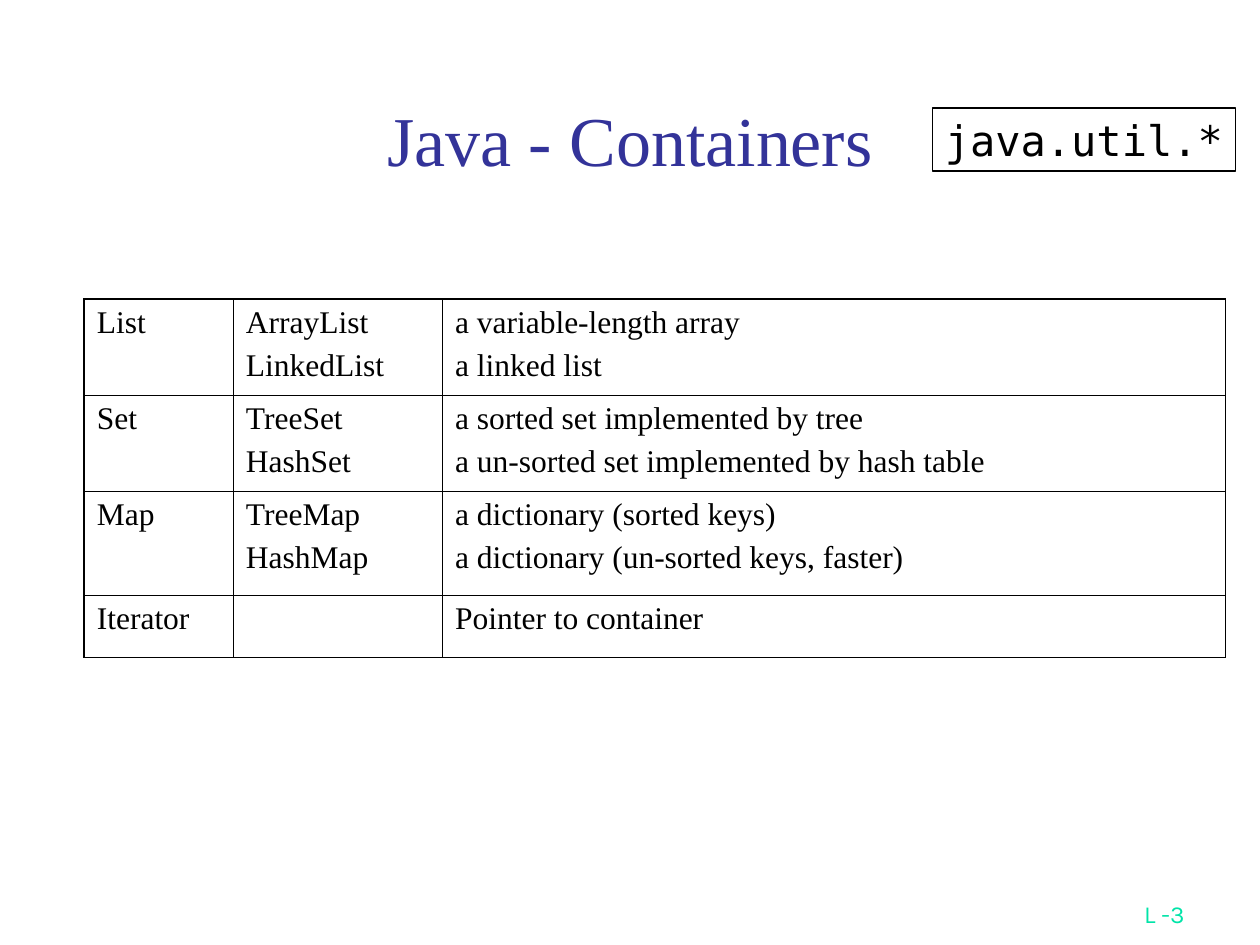
"""Build a slide that tabulates the Java container classes."""
from lxml import etree
from pptx import Presentation
from pptx.dml.color import RGBColor
from pptx.enum import shapes, text
from pptx.oxml import ns
from pptx.util import Pt

SERIF = "Times New Roman"
BLACK = "000000"
ROWS = [
    (["List"], ["ArrayList", "LinkedList"],
     ["a variable-length array", "a linked list"]),
    (["Set"], ["TreeSet", "HashSet"],
     ["a sorted set implemented by tree",
      "a un-sorted set implemented by hash table"]),
    (["Map"], ["TreeMap", "HashMap"],
     ["a dictionary (sorted keys)", "a dictionary (un-sorted keys, faster)"]),
    (["Iterator"], [], ["Pointer to container"]),
]
COL_WIDTHS = [85.2, 119.5, 447.4]
ROW_HEIGHTS = [54.8, 54.8, 59.6, 35.4]
TABLE_LEFT, TABLE_TOP = 48.2, 170.8
OUTER, INNER = 1.08, 0.45


def rgb(value):
    """Return the colour for a hex string."""
    return RGBColor.from_string(value)


def write(tf, lines, size, font, color, align=text.PP_ALIGN.LEFT, gap=0):
    """Fill a text frame with one paragraph per line."""
    for i, line in enumerate(lines):
        p = tf.add_paragraph() if i else tf.paragraphs[0]
        p.text, p.alignment = line, align
        p.font.size, p.font.name = Pt(size), font
        p.font.color.rgb = rgb(color)
        if i and gap:
            p.space_before = Pt(gap)


def add_label(s, box, line, size, font, color, align):
    """Add a one-line text box anchored at the bottom."""
    tf = s.shapes.add_textbox(*map(Pt, box)).text_frame
    tf.word_wrap = True
    tf.vertical_anchor = text.MSO_ANCHOR.BOTTOM
    write(tf, [line], size, font, color, align)


def add_borders(cell, widths):
    """Draw the four borders of a cell, given left, right, top, bottom."""
    tc_pr = cell._tc.get_or_add_tcPr()
    for side, width in zip("LRTB", widths):
        ln = etree.SubElement(tc_pr, ns.qn(f"a:ln{side}"), w=str(Pt(width)))
        fill = etree.SubElement(ln, ns.qn("a:solidFill"))
        etree.SubElement(fill, ns.qn("a:srgbClr"), val=BLACK)


def add_containers(s):
    """Add the table with a heavier outer frame."""
    n_rows, n_cols = len(ROWS), len(COL_WIDTHS)
    table = s.shapes.add_table(
        n_rows, n_cols, Pt(TABLE_LEFT), Pt(TABLE_TOP),
        Pt(sum(COL_WIDTHS)), Pt(sum(ROW_HEIGHTS))).table
    table.first_row = table.horz_banding = False
    for column, width in zip(table.columns, COL_WIDTHS):
        column.width = Pt(width)
    for i, (row, height) in enumerate(zip(ROWS, ROW_HEIGHTS)):
        table.rows[i].height = Pt(height)
        for j, lines in enumerate(row):
            cell = table.cell(i, j)
            edges = (j == 0, j == n_cols - 1, i == 0, i == n_rows - 1)
            add_borders(cell, [OUTER if e else INNER for e in edges])
            cell.fill.background()
            write(cell.text_frame, lines, 18, SERIF, BLACK, gap=4.5)


def add_package(s):
    """Add the outlined box with the package name."""
    sp = s.shapes.add_shape(shapes.MSO_SHAPE.RECTANGLE,
                            Pt(532.8), Pt(61.8), Pt(173.4), Pt(36))
    sp.shadow.inherit = False
    sp.fill.background()
    sp.line.color.rgb, sp.line.width = rgb(BLACK), Pt(0.75)
    tf = sp.text_frame
    tf.word_wrap = False
    tf.auto_size = text.MSO_AUTO_SIZE.SHAPE_TO_FIT_TEXT
    tf.vertical_anchor = text.MSO_ANCHOR.TOP
    write(tf, ["java.util.*"], 24, "DejaVu Sans Mono", BLACK)


def main():
    """Build and save the slide."""
    prs = Presentation()
    prs.slide_width, prs.slide_height = Pt(720), Pt(540)
    s = prs.slides.add_slide(prs.slide_layouts[6])
    add_label(s, (534, 498, 150, 36), "L -3", 14, "Karla", "00E4A8",
              text.PP_ALIGN.RIGHT)
    add_label(s, (53.3, 53.3, 613.4, 53.3), "Java - Containers", 40, SERIF,
              "333399", text.PP_ALIGN.CENTER)
    add_containers(s)
    add_package(s)
    prs.save("out.pptx")


if __name__ == "__main__":
    main()
